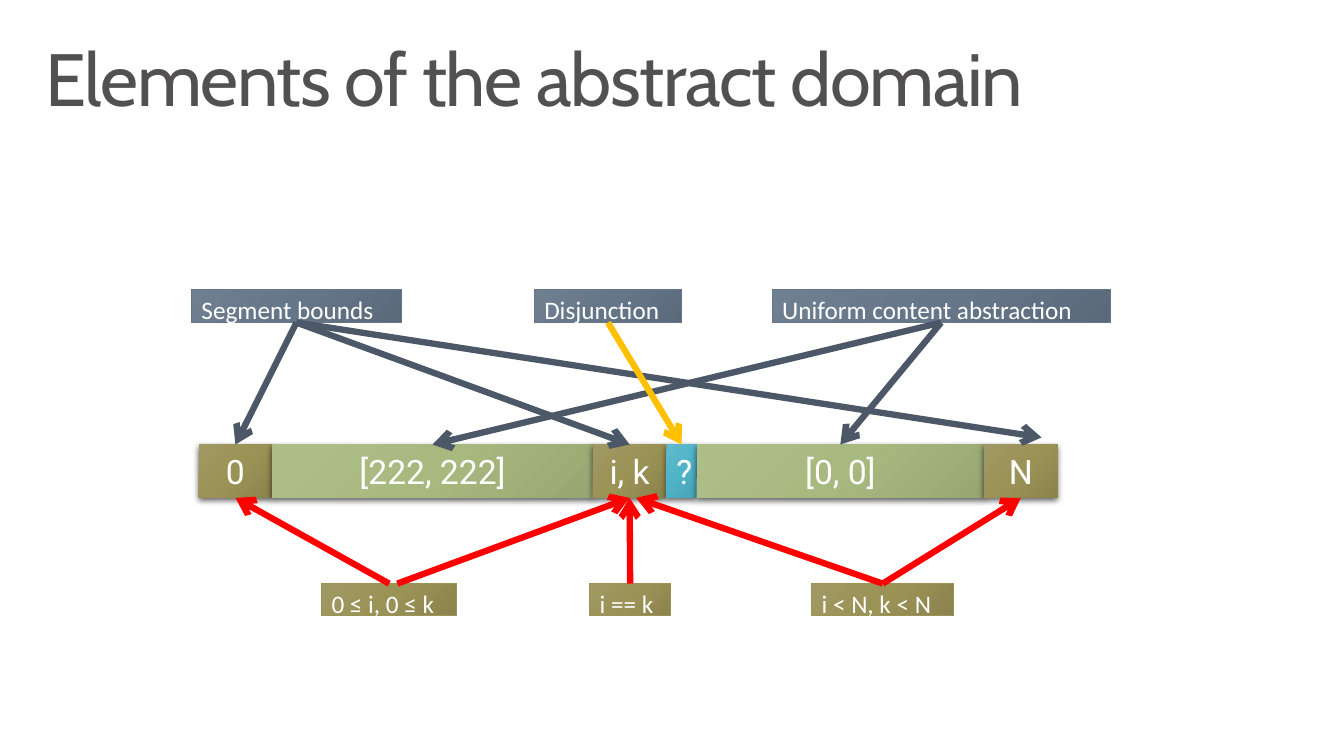
from lxml import etree
from pptx import Presentation
from pptx.dml.color import RGBColor
from pptx.enum.shapes import MSO_CONNECTOR, MSO_SHAPE
from pptx.enum.text import MSO_ANCHOR, MSO_AUTO_SIZE, PP_ALIGN
from pptx.oxml.ns import qn
from pptx.util import Inches, Pt

RECTANGLE = MSO_SHAPE.RECTANGLE
STRAIGHT = MSO_CONNECTOR.STRAIGHT
TOP, MIDDLE = MSO_ANCHOR.TOP, MSO_ANCHOR.MIDDLE
LEFT, CENTER = PP_ALIGN.LEFT, PP_ALIGN.CENTER
NO_AUTOFIT = MSO_AUTO_SIZE.NONE

TOP_SIDE, BOTTOM_SIDE = 0, 2
WHITE, RED, YELLOW, SLATE = "FFFFFF", "FF0000", "FFC000", "4C5867"
# Gradient colours at 0, 50 and 100 percent
GREEN_FILL = ("AEBE89", "A8B97F", "97A772")
OLIVE_FILL = ("A19965", "9B9256", "8B834D")
SLATE_FILL = ("718091", "657689", "5B6A7B")
TEAL_FILL = ("61B9CB", "50B4C8", "48A2B4")


def color(hex_value):
    return RGBColor.from_string(hex_value)


def add_child(parent, tag, **attributes):
    child = etree.SubElement(parent, qn(tag))
    for name, value in attributes.items():
        child.set(name, str(value))
    return child


def fill_gradient(shape, stops):
    """Fill with three evenly spaced colours running to the lower right."""
    shape.fill.gradient()
    gradient = shape._element.spPr.find(qn("a:gradFill"))
    for child in list(gradient):
        gradient.remove(child)
    stop_list = add_child(gradient, "a:gsLst")
    for index, stop in enumerate(stops):
        position = add_child(stop_list, "a:gs", pos=index * 50000)
        add_child(position, "a:srgbClr", val=stop)
    add_child(gradient, "a:lin", ang=45 * 60000, scaled=0)


def add_soft_shadow(shape):
    effects = shape._element.spPr.find(qn("a:effectLst"))
    shadow = add_child(effects, "a:outerShdw", blurRad=Pt(4.5), dist=Pt(1.5),
                       dir=90 * 60000, algn="ctr", rotWithShape=0)
    shadow_color = add_child(shadow, "a:srgbClr", val="000000")
    add_child(shadow_color, "a:alpha", val=63000)


def add_box(slide, box, text, stops, font_name, size, alignment, anchor):
    shape = slide.shapes.add_shape(RECTANGLE, *map(Inches, box))
    shape.shadow.inherit = False
    fill_gradient(shape, stops)
    frame = shape.text_frame
    frame.word_wrap = True
    frame.vertical_anchor = anchor
    frame.text = text
    paragraph = frame.paragraphs[0]
    paragraph.alignment = alignment
    paragraph.font.name = font_name
    paragraph.font.size = Pt(size)
    paragraph.font.color.rgb = color(WHITE)
    return shape


def add_title(slide, box, text):
    title = slide.shapes.title
    title.left, title.top, title.width, title.height = map(Inches, box)
    frame = title.text_frame
    frame.text = text
    frame.word_wrap = True
    frame.auto_size = NO_AUTOFIT
    frame.vertical_anchor = TOP
    frame.margin_left = frame.margin_right = Inches(0.16)
    frame.margin_top = frame.margin_bottom = Inches(0.1)
    paragraph = frame.paragraphs[0]
    paragraph.alignment = LEFT
    paragraph.line_spacing = 0.9
    paragraph.font.name = "Cabin"
    paragraph.font.size = Pt(52.9)
    paragraph.font.color.rgb = color("525051")
    paragraph.runs[0].font._element.set("spc", "-100")


def add_array(slide, left, top, height, segments):
    """Place segments side by side and return their shapes by text."""
    shapes = {}
    for text, width, stops in segments:
        shape = add_box(slide, (left, top, width, height), text, stops,
                        "Roboto", 24, CENTER, MIDDLE)
        shape.line.fill.background()
        add_soft_shadow(shape)
        shapes[text] = shape
        left += width
    return shapes


def add_labels(slide, top, height, stops, labels):
    """Place a row of labels and return their shapes by text."""
    shapes = {}
    for text, left, width in labels:
        shape = add_box(slide, (left, top, width, height), text, stops,
                        "Calibri", 18, LEFT, TOP)
        shape.line.color.rgb = color(stops[1])
        shape.line.width = Pt(0.75)
        shapes[text] = shape
    return shapes


def add_arrow(slide, label, label_side, segment, segment_side, line_color,
              start=None, end=None):
    """Join label to segment; a start or end point replaces that joint."""
    points = [Inches(value) for value in (start or (0, 0)) + (end or (0, 0))]
    arrow = slide.shapes.add_connector(STRAIGHT, *points)
    if start is None:
        arrow.begin_connect(label, label_side)
    if end is None:
        arrow.end_connect(segment, segment_side)
    arrow.line.color.rgb = color(line_color)
    arrow.line.width = Pt(4.5)
    add_child(arrow.line._get_or_add_ln(), "a:tailEnd", type="arrow")
    add_child(arrow._element.spPr, "a:effectLst")


def add_diagram(slide, left, top):
    """Draw the array at the given corner with labels above and below it."""
    segments = add_array(slide, left, top, 0.53, [
        ("0", 0.73, OLIVE_FILL),
        ("[222, 222]", 3.18, GREEN_FILL),
        ("i, k", 0.73, OLIVE_FILL),
        ("?", 0.3, TEAL_FILL),
        ("[0, 0]", 2.85, GREEN_FILL),
        ("N", 0.73, OLIVE_FILL),
    ])
    concepts = add_labels(slide, top - 1.54, 0.33, SLATE_FILL, [
        ("Segment bounds", left - 0.07, 2.08),
        ("Disjunction", left + 3.33, 1.46),
        ("Uniform content abstraction", left + 5.69, 3.35),
    ])
    relations = add_labels(slide, top + 1.38, 0.32, OLIVE_FILL, [
        ("0 ≤ i, 0 ≤ k", left + 1.22, 1.34),
        ("i == k", left + 3.88, 0.8),
        ("i < N, k < N", left + 6.08, 1.41),
    ])
    for concept, segment, line_color, end in [
        ("Segment bounds", "i, k", SLATE, None),
        ("Uniform content abstraction", "[222, 222]", SLATE, None),
        ("Uniform content abstraction", "[0, 0]", SLATE, None),
        ("Segment bounds", "0", SLATE, None),
        ("Segment bounds", "N", SLATE, (left + 8.36, top - 0.07)),
        ("Disjunction", "?", YELLOW, None),
    ]:
        add_arrow(slide, concepts[concept], BOTTOM_SIDE,
                  segments[segment], TOP_SIDE, line_color, end=end)
    for relation, segment, start, end in [
        ("i == k", "i, k", None, None),
        ("0 ≤ i, 0 ≤ k", "0", None, None),
        ("i < N, k < N", "i, k", None, (left + 4.34, top + 0.53)),
        ("i < N, k < N", "N", None, None),
        ("0 ≤ i, 0 ≤ k", "i, k", (left + 1.97, top + 1.38), None),
    ]:
        add_arrow(slide, relations[relation], TOP_SIDE,
                  segments[segment], BOTTOM_SIDE, RED, start, end)


def main():
    presentation = Presentation()
    presentation.slide_width = Inches(13.33)
    presentation.slide_height = Inches(7.5)
    slide = presentation.slides.add_slide(presentation.slide_layouts[5])
    add_title(slide, (0.29, 0.32, 12.75, 0.98),
              "Elements of the abstract domain")
    add_diagram(slide, 1.97, 4.41)
    presentation.save("out.pptx")


if __name__ == "__main__":
    main()
